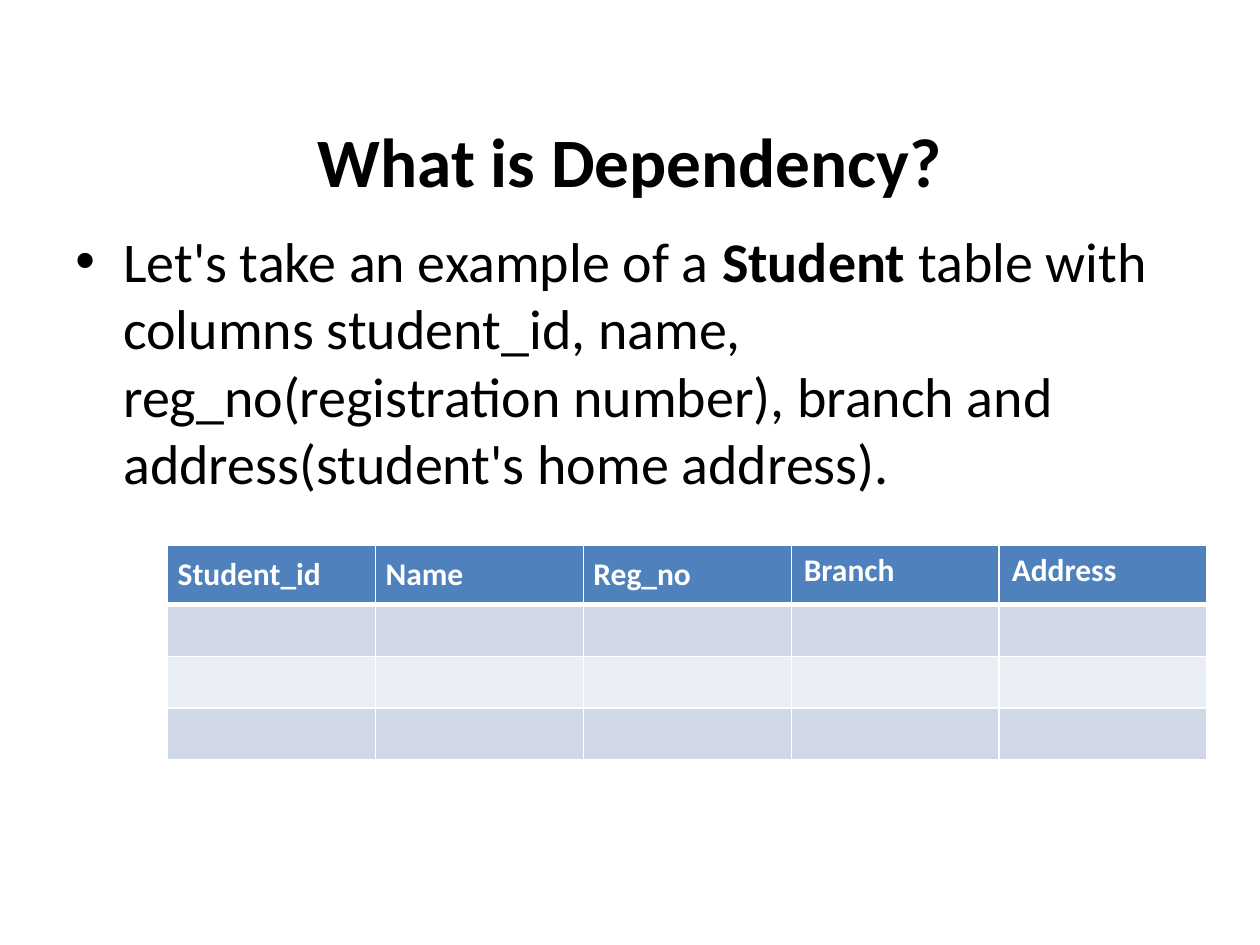
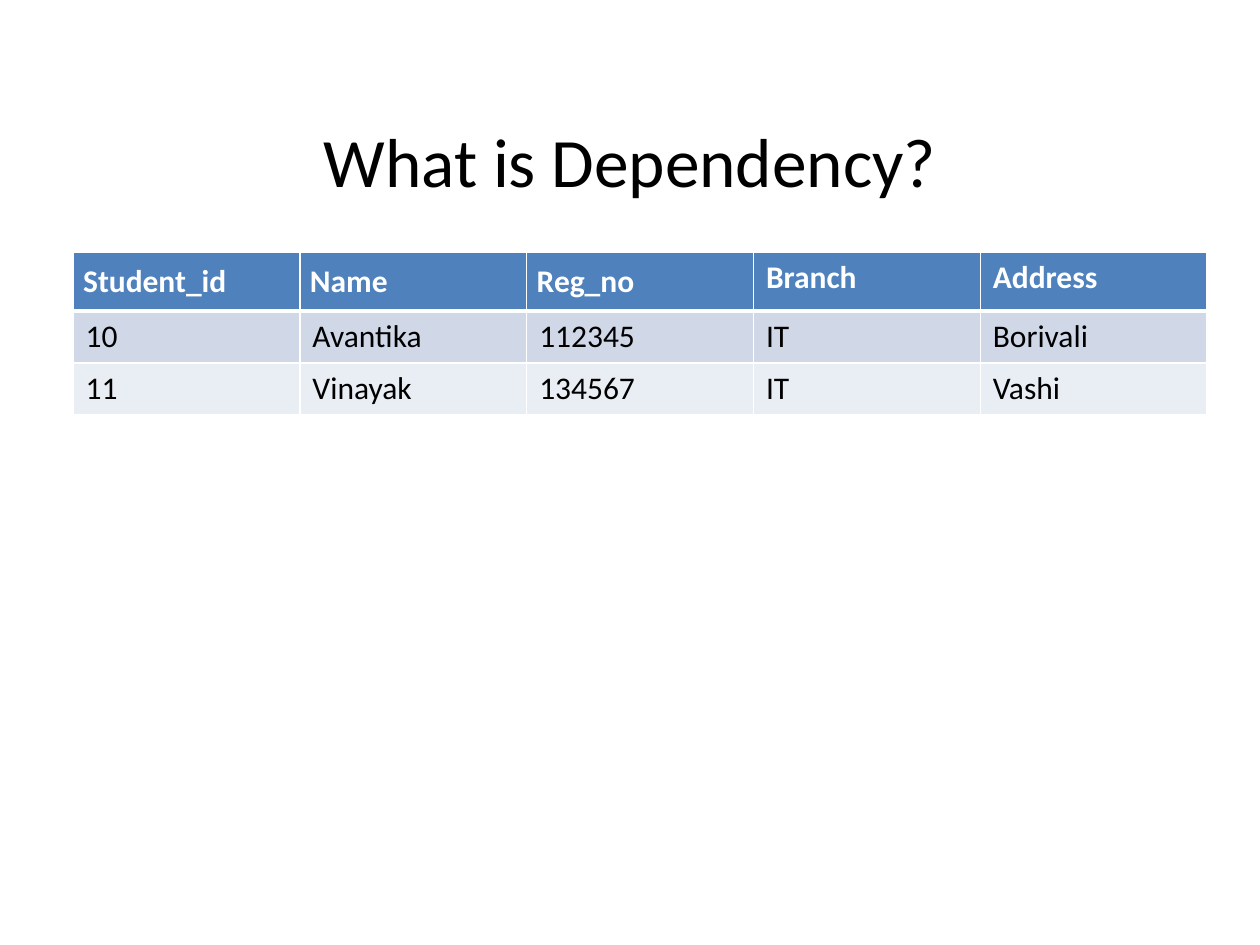
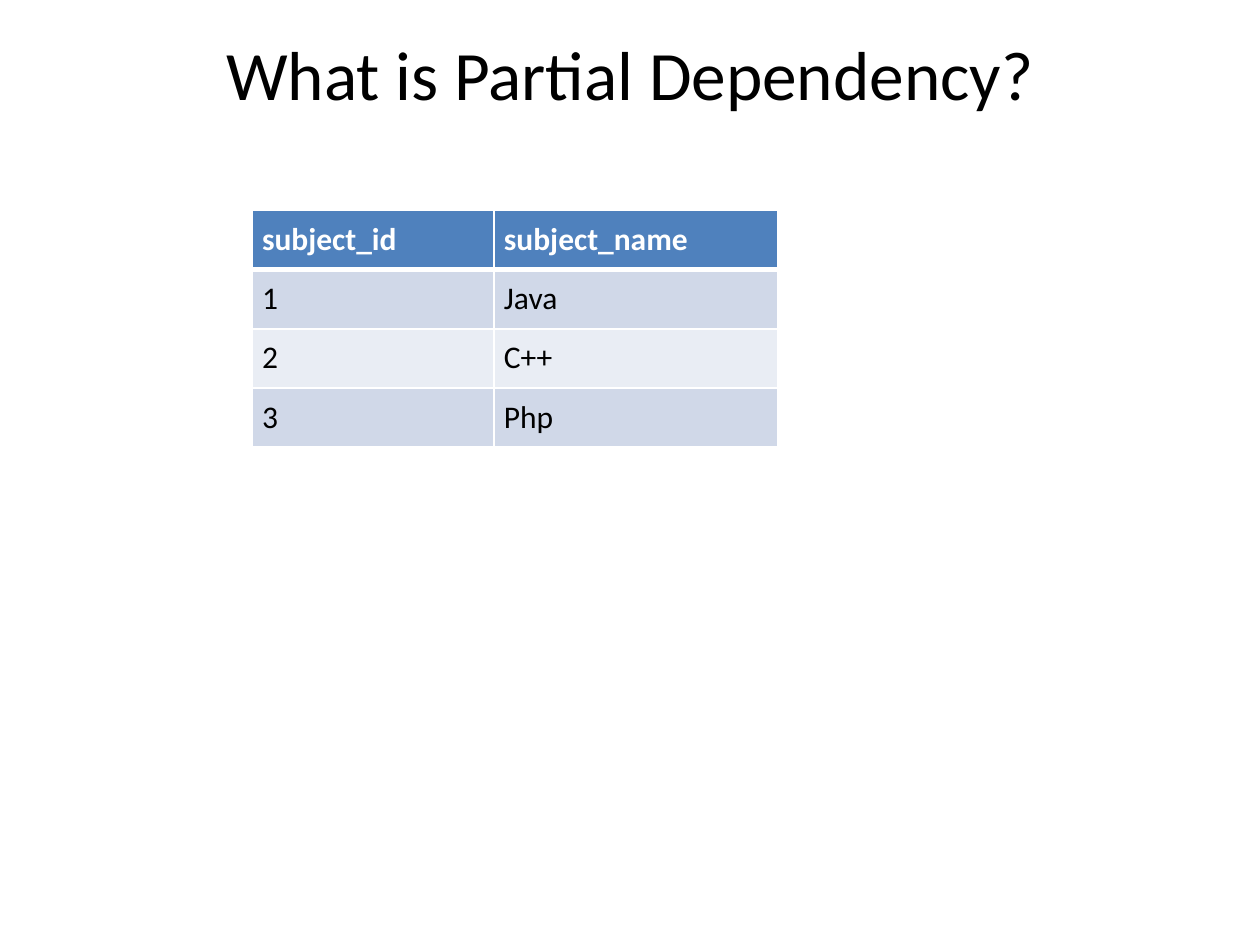
from dataclasses import dataclass

from lxml import etree
from pptx import Presentation
from pptx.dml.color import RGBColor
from pptx.enum.text import MSO_ANCHOR as Anchor, PP_ALIGN as Align
from pptx.oxml.ns import qn
from pptx.slide import Slide
from pptx.table import _Cell as Cell
from pptx.text.text import TextFrame, _Paragraph as Paragraph
from pptx.util import Inches, Pt

FONT = "Calibri"
BLACK, WHITE = "000000", "FFFFFF"
HEADER_FILL = "4F81BD"
BAND_FILLS = ("D0D8E8", "E9EDF4")
TITLE_SIZE, BODY_SIZE, CELL_SIZE = 39.6, 32, 18
THIN, THICK = 1, 3
TIGHT_INSET = 0.08
HEADER_HEIGHT = 0.47
STUDENT_COLUMNS = ("Student_id", "Name", "Reg_no", "Branch", "Address")


@dataclass(frozen=True)
class Title:
    text: str
    top: float
    anchor: Anchor
    bold: bool = False


@dataclass(frozen=True)
class Grid:
    """A banded table; the first tight_headers header cells have even insets."""
    left: float
    top: float
    widths: tuple[float, ...]
    header: tuple[str, ...]
    rows: tuple[tuple[str, ...], ...]
    row_height: float = 0.41
    tight_headers: int = 3
    tight_body: bool = False


STUDENT_TITLE = "What is Dependency?"
STUDENT_INTRO = (
    ("Let's take an example of a ", False),
    ("Student", True),
    (" table with columns student_id, name, reg_no(registration number), "
     "branch and address(student's home address).", False),
)
SLIDES = (
    (Title(STUDENT_TITLE, 0.35, Anchor.BOTTOM, bold=True),
     Grid(1.33, 4.33, (1.65,) * 5, STUDENT_COLUMNS, (("",) * 5,) * 3),
     STUDENT_INTRO),
    (Title(STUDENT_TITLE, 0.35, Anchor.BOTTOM),
     Grid(0.58, 2, (1.8,) * 5, STUDENT_COLUMNS,
          (("10", "Avantika", "112345", "IT", "Borivali"),
           ("11", "Vinayak", "134567", "IT", "Vashi"))),
     ()),
    (Title("What is Partial Dependency?", 0.25, Anchor.TOP),
     Grid(2, 1.67, (1.92, 2.25), ("subject_id", "subject_name"),
          (("1", "Java"), ("2", "C++"), ("3", "Php")),
          row_height=0.47, tight_headers=2, tight_body=True),
     ()),
)


def rgb(color: str) -> RGBColor:
    return RGBColor.from_string(color)


def add_run(p: Paragraph, text: str, size: float, color: str = BLACK,
            bold: bool = False) -> None:
    r = p.add_run()
    r.text = text
    r.font.name = FONT
    r.font.size = Pt(size)
    r.font.bold = bold
    r.font.color.rgb = rgb(color)


def add_text_box(s: Slide, top: float, height: float) -> TextFrame:
    sp = s.shapes.add_textbox(Inches(0.5), Inches(top), Inches(9), Inches(height))
    tf = sp.text_frame
    tf.word_wrap = True
    return tf


def add_title(s: Slide, title: Title) -> None:
    tf = add_text_box(s, title.top, 1.25)
    tf.margin_top = tf.margin_bottom = 0
    tf.vertical_anchor = title.anchor
    p = tf.paragraphs[0]
    p.alignment = Align.CENTER
    add_run(p, title.text, TITLE_SIZE, bold=title.bold)


def add_bullet(s: Slide, runs: tuple[tuple[str, bool], ...]) -> None:
    p = add_text_box(s, 1.75, 4.95).paragraphs[0]
    pPr = p._p.get_or_add_pPr()
    pPr.set("marL", str(Inches(0.38)))
    pPr.set("indent", str(Inches(-0.38)))
    etree.SubElement(pPr, qn("a:buFont")).set("typeface", "Arial")
    etree.SubElement(pPr, qn("a:buChar")).set("char", "•")
    for text, bold in runs:
        add_run(p, text, BODY_SIZE, bold=bold)


def add_border(cell: Cell, side: str, width: float) -> None:
    ln = etree.SubElement(cell._tc.get_or_add_tcPr(), qn(f"a:ln{side}"))
    ln.set("w", str(Pt(width)))
    fill = etree.SubElement(ln, qn("a:solidFill"))
    etree.SubElement(fill, qn("a:srgbClr")).set("val", WHITE)


def style_cell(cell: Cell, row: int, tight: bool) -> None:
    if tight:
        cell.margin_left = cell.margin_right = Inches(TIGHT_INSET)
        cell.margin_top = cell.margin_bottom = Inches(TIGHT_INSET)
    for side in "LRTB":
        under_header = (row, side) in ((0, "B"), (1, "T"))
        add_border(cell, side, THICK if under_header else THIN)
    cell.fill.solid()
    cell.fill.fore_color.rgb = rgb(BAND_FILLS[(row - 1) % 2] if row else HEADER_FILL)


def add_grid(s: Slide, grid: Grid) -> None:
    lines = (grid.header, *grid.rows)
    heights = (HEADER_HEIGHT,) + (grid.row_height,) * len(grid.rows)
    table = s.shapes.add_table(
        len(lines), len(grid.widths), Inches(grid.left), Inches(grid.top),
        Inches(sum(grid.widths)), Inches(sum(heights))).table
    for column, width in zip(table.columns, grid.widths):
        column.width = Inches(width)
    for row, (texts, height) in enumerate(zip(lines, heights)):
        table.rows[row].height = Inches(height)
        is_header = row == 0
        for col, text in enumerate(texts):
            cell = table.cell(row, col)
            tight = col < grid.tight_headers if is_header else grid.tight_body
            style_cell(cell, row, tight)
            if text:
                add_run(cell.text_frame.paragraphs[0], text, CELL_SIZE,
                        WHITE if is_header else BLACK, is_header)


def main() -> None:
    prs = Presentation()
    prs.slide_width, prs.slide_height = Inches(10), Inches(7.5)
    for title, grid, intro in SLIDES:
        s = prs.slides.add_slide(prs.slide_layouts[6])
        add_title(s, title)
        if intro:
            add_bullet(s, intro)
        add_grid(s, grid)
    prs.save("out.pptx")


if __name__ == "__main__":
    main()
